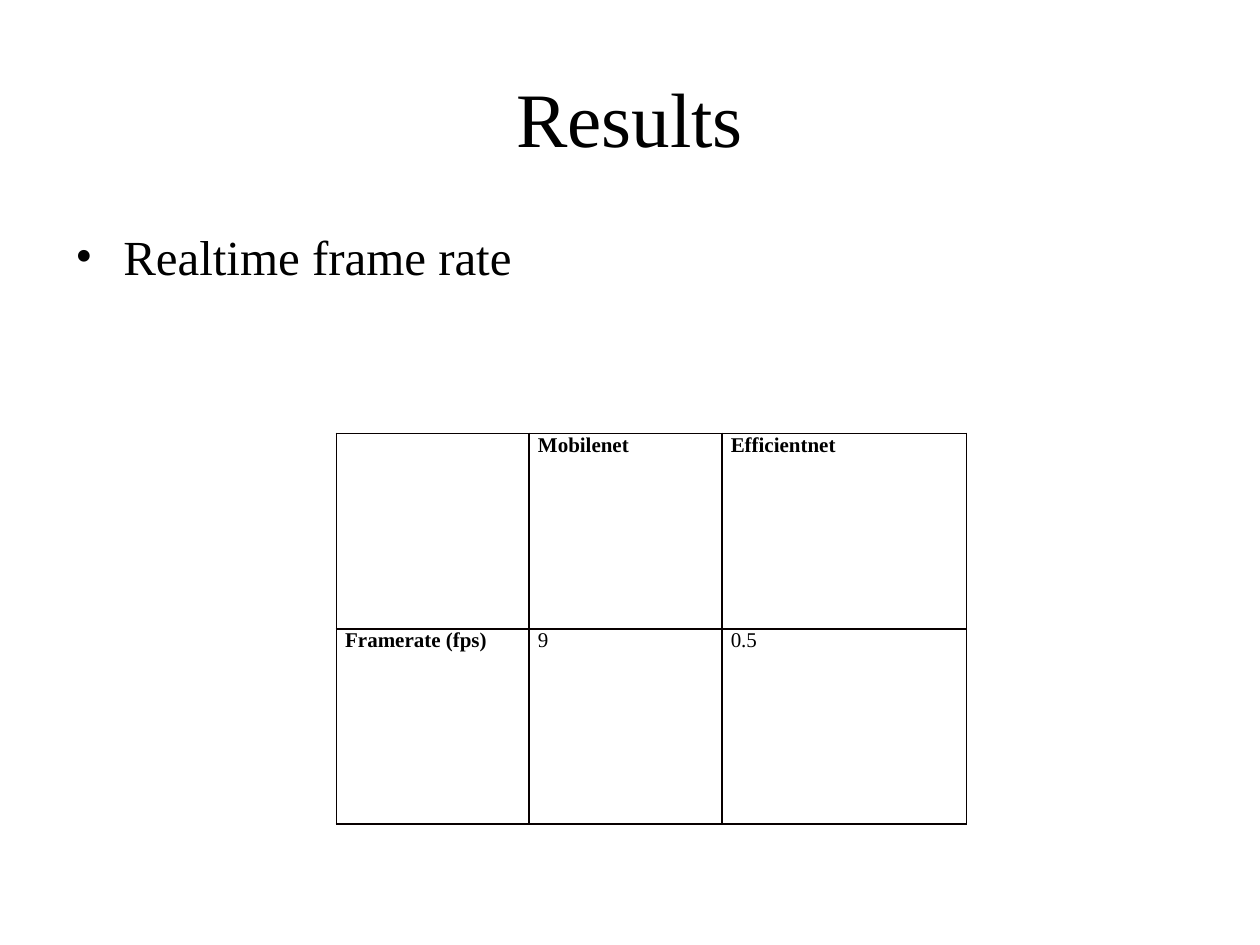
from lxml import etree
from pptx import Presentation
from pptx.dml.color import RGBColor
from pptx.enum import text
from pptx.oxml import ns
from pptx.util import Inches, Pt

FONT = "Times New Roman"
BLACK = "000000"
BORDER = "080000"
COLUMN_WIDTHS = (1.53, 1.53, 1.94)
ROW_HEIGHT = 1.55
FRAME_RATES = (
    ("", "Mobilenet", "Efficientnet"),
    ("Framerate (fps)", "9", "0.5"),
)


def color(value):
    return RGBColor.from_string(value)


def add_element(parent, tag, **attributes):
    return etree.SubElement(parent, ns.qn(tag), attributes)


def format_font(paragraph, size, bold=False):
    for run in paragraph.runs:
        run.font.name = FONT
        run.font.size = Pt(size)
        run.font.bold = bold
        run.font.color.rgb = color(BLACK)


def set_title(slide, wording):
    title = slide.shapes.title
    title.left, title.top = Inches(0.5), Inches(0.3)
    title.width, title.height = Inches(9), Inches(1.25)
    frame = title.text_frame
    frame.text = wording
    frame.vertical_anchor = text.MSO_ANCHOR.MIDDLE
    paragraph = frame.paragraphs[0]
    paragraph.alignment = text.PP_ALIGN.CENTER
    format_font(paragraph, 44)


def add_bullet(slide, wording):
    box = slide.shapes.add_textbox(
        Inches(0.5), Inches(1.75), Inches(4.42), Inches(4.95))
    frame = box.text_frame
    frame.word_wrap = True
    paragraph = frame.paragraphs[0]
    paragraph.text = wording
    properties = paragraph._p.get_or_add_pPr()
    indent = Inches(0.38)
    properties.set("marL", str(indent))
    properties.set("indent", str(-indent))
    add_element(properties, "a:buFont", typeface=FONT)
    add_element(properties, "a:buChar", char="•")
    format_font(paragraph, 28)


def set_borders(cell):
    properties = cell._tc.get_or_add_tcPr()
    for side in ("a:lnL", "a:lnR", "a:lnT", "a:lnB"):
        line = add_element(properties, side, w=str(Pt(1)))
        fill = add_element(line, "a:solidFill")
        add_element(fill, "a:srgbClr", val=BORDER)


def format_cell(cell, wording, bold):
    cell.text = wording
    cell.margin_left = cell.margin_right = Inches(0.07)
    cell.margin_top = cell.margin_bottom = 0
    set_borders(cell)
    cell.fill.background()
    format_font(cell.text_frame.paragraphs[0], 12, bold)


def add_frame_rate_table(slide):
    row_count, column_count = len(FRAME_RATES), len(COLUMN_WIDTHS)
    table = slide.shapes.add_table(
        row_count, column_count, Inches(2.67), Inches(3.44),
        Inches(sum(COLUMN_WIDTHS)), Inches(ROW_HEIGHT * row_count)).table
    table.horz_banding = False
    table.first_row = False
    for column, width in zip(table.columns, COLUMN_WIDTHS):
        column.width = Inches(width)
    for row_index, values in enumerate(FRAME_RATES):
        table.rows[row_index].height = Inches(ROW_HEIGHT)
        for column_index, value in enumerate(values):
            is_header = row_index == 0 or column_index == 0
            format_cell(table.cell(row_index, column_index), value, is_header)


def main():
    presentation = Presentation()
    presentation.slide_width = Inches(10)
    presentation.slide_height = Inches(7.5)
    slide = presentation.slides.add_slide(presentation.slide_layouts[5])
    set_title(slide, "Results")
    add_bullet(slide, "Realtime frame rate")
    add_frame_rate_table(slide)
    presentation.save("out.pptx")


if __name__ == "__main__":
    main()
